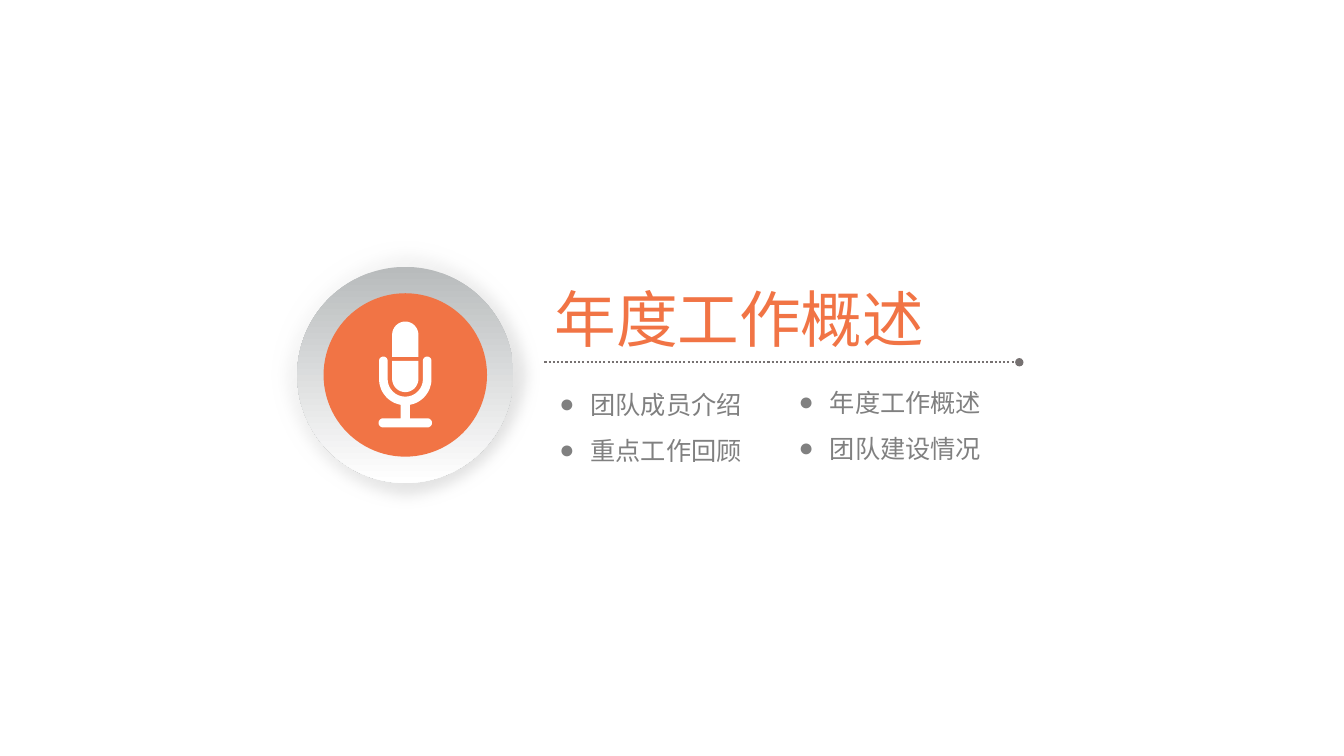
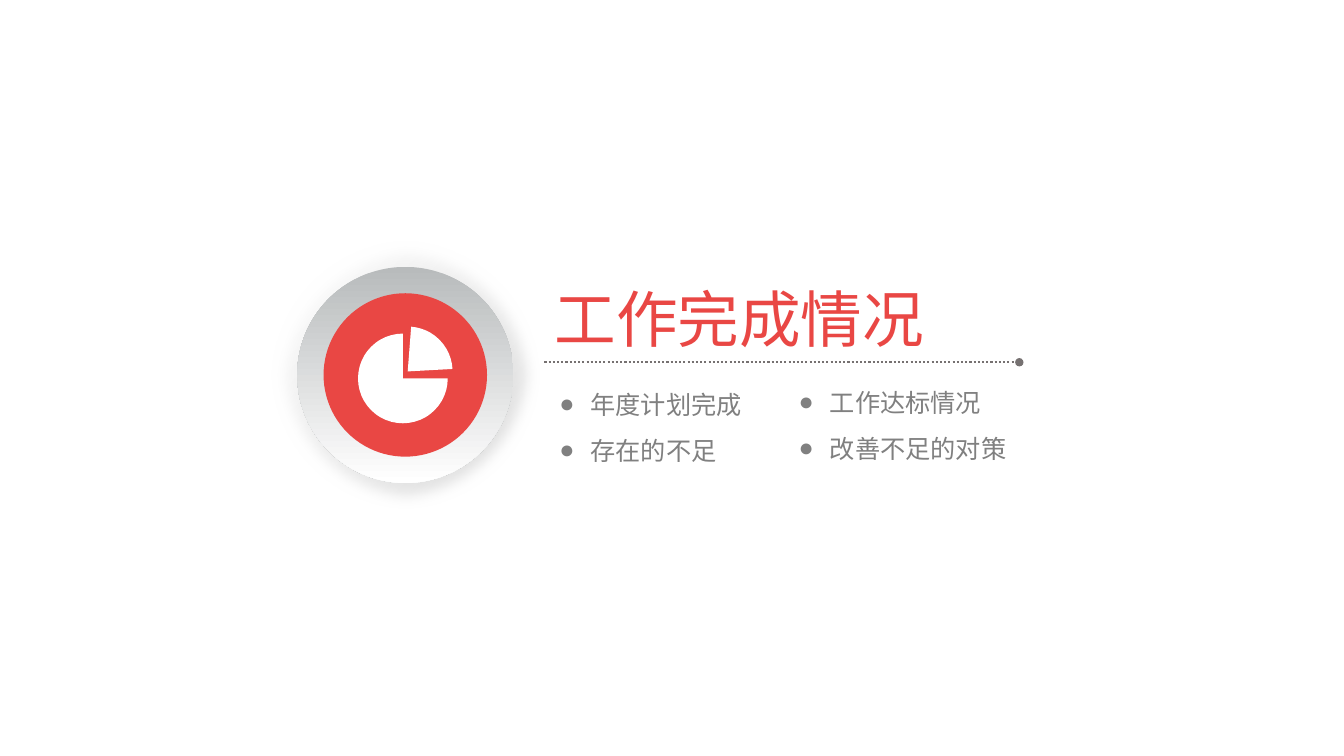
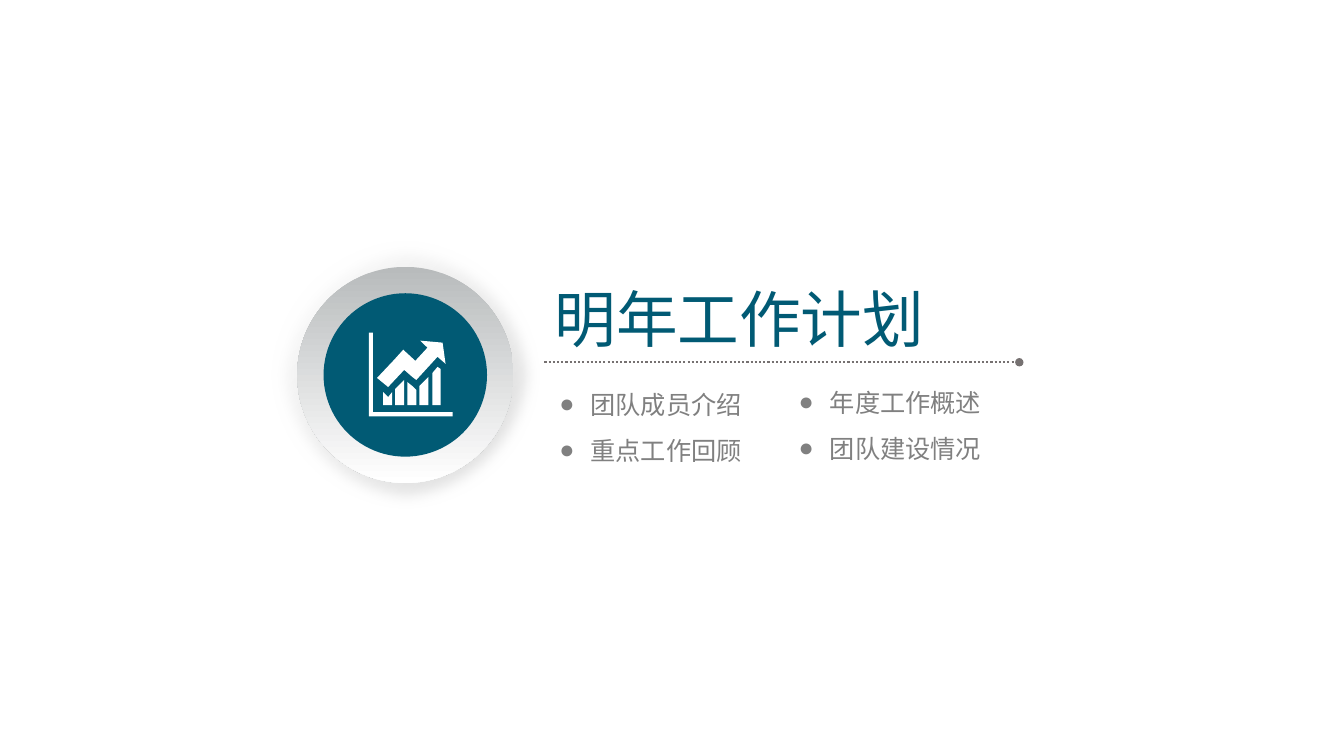
import math
from collections import namedtuple

from lxml import etree
from pptx import Presentation
from pptx import util as u
from pptx.dml.color import RGBColor
from pptx.enum import dml, shapes, text
from pptx.oxml import ns

COLOURS = {
    "orange": "F17445", "red": "E94744", "teal": "015A74",
    "white": "FFFFFF", "halo": "D9D9D9", "rim": "B8BBBC",
    "rule": "767171", "list": "808080",
}
TITLE_FONT = "Noto Sans CJK SC"
LIST_FONT = "Roboto Condensed"

Box = namedtuple("Box", "left top width height")
PAGE = Box(0, 0, 13.33, 7.5)
BADGE = Box(2.68, 2.38, 2.68, 2.68)
HEADING = Box(5.4, 2.73, 4.71, 1.92)


def colour(name):
    return RGBColor.from_string(COLOURS[name])


def add_element(parent, tag, **attributes):
    element = etree.SubElement(parent, ns.qn(tag))
    for key, value in attributes.items():
        element.set(key, str(value))
    return element


def inner(box, left, top, width, height):
    """Box given as shares of another box."""
    return Box(box.left + left * box.width, box.top + top * box.height,
               width * box.width, height * box.height)


def centred(box, share):
    return inner(box, (1 - share) / 2, (1 - share) / 2, share, share)


def place(shape, box):
    shape.left, shape.top, shape.width, shape.height = map(u.Inches, box)


def finish(shape, fill):
    """Plain fill, no outline and no shadow."""
    shape.shadow.inherit = False
    shape.line.fill.background()
    if fill:
        shape.fill.solid()
        shape.fill.fore_color.rgb = colour(fill)
    return shape


def add_preset(group, kind, box, fill=None):
    return finish(group.shapes.add_shape(kind, *map(u.Inches, box)), fill)


def add_gradient(shape, start, end):
    shape.fill.gradient()
    shape.fill.gradient_angle = 270
    for stop, name in zip(shape.fill.gradient_stops, (start, end)):
        stop.color.rgb = colour(name)


def add_outline(group, badge, contours):
    """White outline; points are hundredths of an inch from the badge centre."""
    points = [[(round(x * 10), round(y * 10)) for x, y in contour]
              for contour in contours]
    builder = group.shapes.build_freeform(*points[0][0], scale=914.4)
    for index, contour in enumerate(points):
        if index:
            builder.move_to(*contour[0])
        builder.add_line_segments(contour[1:], close=True)
    shape = builder.convert_to_shape(
        u.Inches(badge.left + badge.width / 2), u.Inches(badge.top + badge.height / 2))
    finish(shape, "white")


# Icons
def arc(x, y, radius, start, end, steps=16):
    angles = [math.radians(start + (end - start) * i / steps) for i in range(steps + 1)]
    return [(x + radius * math.cos(a), y + radius * math.sin(a)) for a in angles]


def microphone_icon(group, badge):
    head = arc(0, -40, 13, 180, 360) + [(13, -18), (-13, -18)]
    cup = [(-13, -14), (13, -14)] + arc(0, 4, 13, 0, 180)
    stand = (arc(-21.75, -14, 4.25, 180, 360) + arc(0, 4, 17.5, 180, 0)
             + arc(21.75, -14, 4.25, 180, 360) + arc(0, 4, 26, 0, 80)
             + [(4.5, 43)] + arc(22, 47.5, 4.5, -90, 90)
             + arc(-22, 47.5, 4.5, 90, 270) + [(-4.5, 43)]
             + arc(0, 4, 26, 100, 180))
    add_outline(group, badge, [head, cup, stand])


def pie_icon(group, badge):
    slices = [((0.325, 0.347), (0, 270)), ((0.343, 0.321), (274.44, 356.85))]
    for (left, top), angles in slices:
        pie = add_preset(group, shapes.MSO_SHAPE.PIE,
                         inner(badge, left, top, 0.332, 0.332), "white")
        for index, angle in enumerate(angles):
            pie.adjustments[index] = angle * 0.6


def growth_icon(group, badge):
    bar_tops = [
        [(-22, 17), (-17, 22), (-13, 17)],
        [(-10, 14), (-1, 5)],
        [(2, 7), (7, 11), (11, 15)],
        [(14, 11), (23, 2)],
        [(27, -2), (32, -8), (35, -6)],
    ]
    bars = [tops + [(tops[-1][0], 30), (tops[0][0], 30)] for tops in bar_tops]
    arrow = [(15, -34), (37, -32), (40, -11), (32, -18), (11, 5), (7, 2), (-1, -5),
             (-17, 12), (-28, 3), (-11, -15), (-2, -25), (10, -14), (22, -27)]
    axes = [(-36, -42), (-32, -42), (-32, 37), (47, 37), (47, 41), (-36, 41)]
    add_outline(group, badge, bars + [arrow, axes])


# Round badge
def add_badge(page, box, accent, draw_icon):
    group = page.shapes.add_group_shape()
    halo = add_preset(group, shapes.MSO_SHAPE.OVAL, box)
    add_gradient(halo, "halo", "white")
    linear = halo.fill._xPr.find(".//" + ns.qn("a:lin"))
    gradient = linear.getparent()
    gradient.remove(linear)
    path = add_element(gradient, "a:path", path="circle")
    add_element(path, "a:fillToRect", l=100000, t=100000)
    effects = halo.fill._xPr.find(ns.qn("a:effectLst"))
    add_element(effects, "a:softEdge", rad=u.Pt(10))

    rim = add_preset(group, shapes.MSO_SHAPE.ROUNDED_RECTANGLE, centred(box, 0.8))
    rim.adjustments[0] = 0.5
    add_gradient(rim, "rim", "white")
    add_preset(group, shapes.MSO_SHAPE.OVAL, centred(box, 0.605), accent)
    draw_icon(group, box)


# Title, dotted rule and two lists
def set_font(para, name, size, fill):
    font = para.font
    font.name, font.size, font.color.rgb = name, u.Pt(size), colour(fill)
    add_element(font._element, "a:ea", typeface=TITLE_FONT)


def add_title(shape, box, title, accent):
    place(shape, box)
    frame = shape.text_frame
    frame.text, frame.word_wrap = title, True
    frame.auto_size = text.MSO_AUTO_SIZE.NONE
    frame.vertical_anchor = text.MSO_ANCHOR.MIDDLE
    para = frame.paragraphs[0]
    para.alignment = text.PP_ALIGN.LEFT
    set_font(para, TITLE_FONT, 44, accent)


def add_rule(page, left, right, y):
    rule = page.shapes.add_connector(
        shapes.MSO_CONNECTOR.STRAIGHT, *map(u.Inches, (left, y, right, y)))
    rule.line.width = u.Pt(1.5)
    rule.line.color.rgb = colour("rule")
    rule.line.dash_style = dml.MSO_LINE.ROUND_DOT
    add_element(rule.line._get_or_add_ln(), "a:tailEnd", type="oval")
    add_element(rule._element.spPr, "a:effectLst")


def add_list(shape, box, items):
    place(shape, box)
    frame = shape.text_frame
    frame.text, frame.word_wrap = "\n".join(items), True
    frame.auto_size = text.MSO_AUTO_SIZE.NONE
    frame.vertical_anchor = text.MSO_ANCHOR.TOP
    frame.margin_top = frame.margin_bottom = 0
    for para in frame.paragraphs:
        para.space_before = u.Pt(0)
        para.line_spacing = u.Pt(33)
        properties = para._p.get_or_add_pPr()
        properties.set("marL", str(u.Inches(0.31)))
        properties.set("indent", str(u.Inches(-0.31)))
        add_element(properties, "a:buFont", typeface="Arial")
        add_element(properties, "a:buChar", char="●")
        set_font(para, LIST_FONT, 18, "list")


def add_heading(page, box, title, accent, lists):
    title_shape, *list_shapes = page.placeholders
    add_title(title_shape, inner(box, 0, 0, 1, 0.44), title, accent)
    add_rule(page, box.left, box.left + box.width, box.top + 0.45 * box.height)
    corners = [(0.01, 0.505), (0.514, 0.495)]
    for shape, corner, items in zip(list_shapes, corners, lists):
        add_list(shape, inner(box, *corner, 0.5, 0.48), items)


def add_section(deck, title, accent, draw_icon, lists):
    page = deck.slides.add_slide(deck.slide_layouts.get_by_name("Two Content"))
    add_heading(page, HEADING, title, accent, lists)
    add_badge(page, BADGE, accent, draw_icon)


TEAM_LISTS = [["团队成员介绍", "重点工作回顾"], ["年度工作概述", "团队建设情况"]]
RESULT_LISTS = [["年度计划完成", "存在的不足"], ["工作达标情况", "改善不足的对策"]]
SECTIONS = [
    ("年度工作概述", "orange", microphone_icon, TEAM_LISTS),
    ("工作完成情况", "red", pie_icon, RESULT_LISTS),
    ("明年工作计划", "teal", growth_icon, TEAM_LISTS),
]


def main():
    deck = Presentation()
    deck.slide_width, deck.slide_height = u.Inches(PAGE.width), u.Inches(PAGE.height)
    for section in SECTIONS:
        add_section(deck, *section)
    deck.save("out.pptx")


if __name__ == "__main__":
    main()
